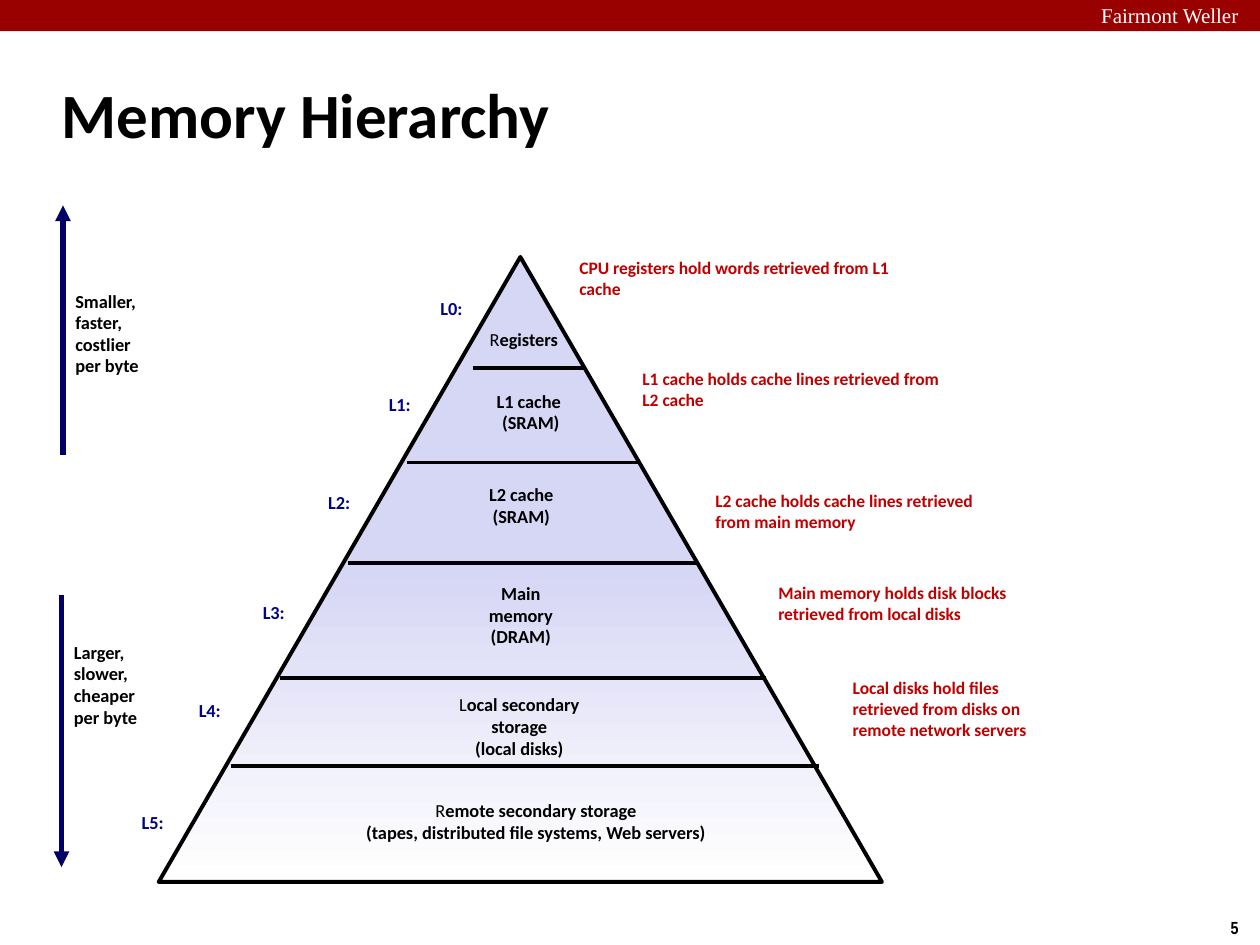
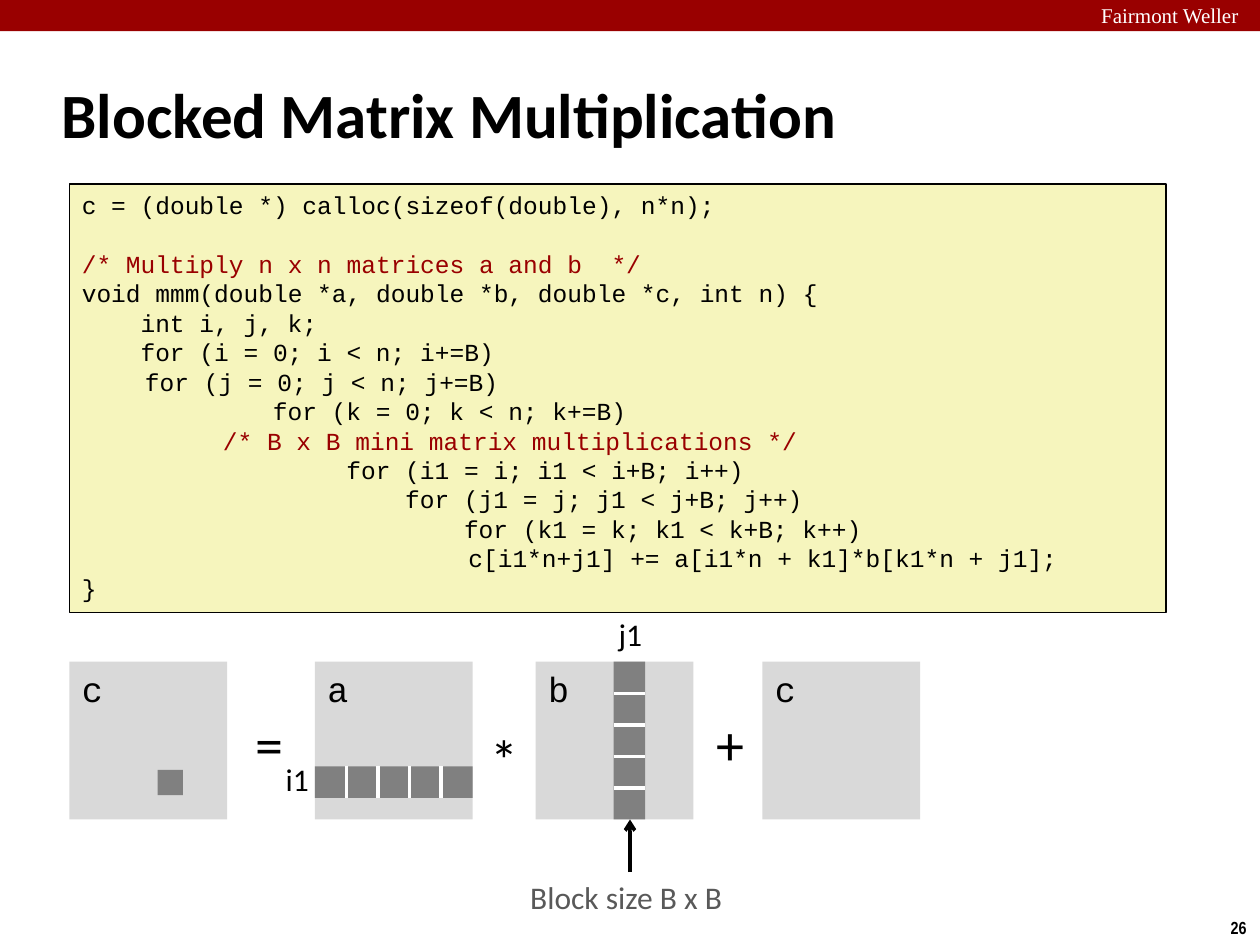
from dataclasses import dataclass

from lxml.etree import SubElement
from pptx import Presentation
from pptx.dml.color import RGBColor
from pptx.enum.shapes import MSO_CONNECTOR, MSO_SHAPE
from pptx.enum.text import MSO_ANCHOR, MSO_AUTO_SIZE, PP_ALIGN
from pptx.oxml.ns import qn
from pptx.util import Cm, Pt


@dataclass(frozen=True)
class Style:
    font: str
    size: float
    color: str
    bold: bool = False


@dataclass(frozen=True)
class Theme:
    band = "990000"
    ink = "000000"
    paper = "FFFFFF"
    trend = "000066"
    pyramid_top = "D6D6F5"
    code_fill = "F6F5BD"
    matrix = "D9D9D9"
    block = "808080"
    title = Style("Calibri", 36, ink, True)
    school = Style("Times New Roman", 12, paper)
    number = Style("Arial Narrow", 10, ink, True)
    level = Style("Calibri", 10.5, ink, True)
    tag = Style("Calibri", 10.5, "000482", True)
    note = Style("Calibri", 10, "C00000", True)
    code = Style("Courier New", 14, ink)
    comment = Style("Courier New", 14, band)
    matrix_name = Style("Courier New", 20, ink)
    index = Style("Calibri", 18, ink)
    caption = Style("Calibri", 18, "595959")
    operator = Style("Calibri", 32, ink)


@dataclass(frozen=True)
class Box:
    """A region in centimetres."""
    left: float
    top: float
    width: float
    height: float

    def inner(self, left, top, width, height):
        return Box(self.left + left, self.top + top, width, height)

    def emu(self):
        return [Cm(v) for v in (self.left, self.top, self.width, self.height)]


THEME = Theme()
SLIDE = Box(0, 0, 25.4, 19.05)
CODE_PITCH = Pt(16.8)
CODE_CHAR = 0.6 * THEME.code.size

# tag place, name box, name lines, whether its first letter is light
LEVELS = [
    ((5.28, 0.69), (6.33, 1.32, 2.06, 0.71), ["Registers"], True),
    ((4.24, 2.64), (6.48, 2.57, 1.96, 1.14), ["L1 cache", " (SRAM)"], False),
    ((3.02, 4.6), (6.33, 4.45, 1.96, 1.14), ["L2 cache", "(SRAM)"], False),
    ((1.7, 6.83), (6.17, 6.45, 2.26, 1.57), ["Main memory", "(DRAM)"], False),
    ((0.41, 8.79), (5.49, 8.69, 3.56, 1.57),
     ["Local secondary storage", "(local disks)"], True),
    ((-0.74, 11.05), (3.58, 10.82, 8.05, 1.14),
     ["Remote secondary storage",
      "(tapes, distributed file systems, Web servers)"], True),
]
NOTES = [
    ((8.23, -0.1, 6.83, 1.09), "CPU registers hold words retrieved from L1 cache"),
    ((9.5, 2.14, 6.63, 1.09), "L1 cache holds cache lines retrieved from L2 cache"),
    ((10.97, 4.6, 6.15, 1.09), "L2 cache holds cache lines retrieved from main memory"),
    ((12.24, 6.45, 6.4, 1.09), "Main memory holds disk blocks retrieved from local disks"),
    ((13.74, 8.36, 4.83, 1.52),
     "Local disks hold files retrieved from disks on remote network servers"),
]
# height, left end, right end
DIVIDERS = [(2.24, 6.33, 8.61), (4.14, 5, 9.7), (6.17, 3.81, 10.85),
            (8.49, 2.44, 12.24), (10.26, 1.45, 13.31)]

# indent in characters, code
CODE = [
    (0, "c = (double *) calloc(sizeof(double), n*n);"),
    (0, "/* Multiply n x n matrices a and b  */"),
    (0, "void mmm(double *a, double *b, double *c, int n) {"),
    (4, "int i, j, k;"),
    (4, "for (i = 0; i < n; i+=B)"),
    (4.3, "for (j = 0; j < n; j+=B)"),
    (13, "for (k = 0; k < n; k+=B)"),
    (9.6, "/* B x B mini matrix multiplications */"),
    (18, "for (i1 = i; i1 < i+B; i++)"),
    (22, "for (j1 = j; j1 < j+B; j++)"),
    (26, "for (k1 = k; k1 < k+B; k++)"),
    (26.3, "c[i1*n+j1] += a[i1*n + k1]*b[k1*n + j1];"),
    (0, "}"),
]


def rgb(color):
    return RGBColor.from_string(color)


def style_paragraph(paragraph, style, align=PP_ALIGN.LEFT):
    font = paragraph.font
    font.name, font.size, font.bold = style.font, Pt(style.size), style.bold
    font.color.rgb = rgb(style.color)
    paragraph.alignment = align


def write(frame, lines, style, align=PP_ALIGN.LEFT, spacing=None, light_initial=False):
    for number, line in enumerate(lines):
        paragraph = frame.add_paragraph() if number else frame.paragraphs[0]
        style_paragraph(paragraph, style, align)
        if spacing:
            paragraph.line_spacing = spacing
        if light_initial and number == 0:
            initial = paragraph.add_run()
            initial.text, initial.font.bold = line[0], False
            line = line[1:]
        paragraph.add_run().text = line


def add_text(slide, box, lines, style, anchor=MSO_ANCHOR.TOP, wrap=True, **options):
    frame = slide.shapes.add_textbox(*box.emu()).text_frame
    frame.word_wrap, frame.vertical_anchor = wrap, anchor
    write(frame, lines, style, **options)


def add_label(slide, box, lines, style, **options):
    add_text(slide, box, lines, style, MSO_ANCHOR.MIDDLE, spacing=0.98, **options)


def add_block(slide, box, fill=None, line=None, weight=1, preset=MSO_SHAPE.RECTANGLE):
    block = slide.shapes.add_shape(preset, *box.emu())
    block.shadow.inherit = False
    if fill:
        block.fill.solid()
        block.fill.fore_color.rgb = rgb(fill)
    if line:
        block.line.color.rgb, block.line.width = rgb(line), Pt(weight)
    else:
        block.line.fill.background()
    return block


def add_line(slide, start, end, color, weight=2, head=None):
    line = slide.shapes.add_connector(
        MSO_CONNECTOR.STRAIGHT, *(Cm(v) for v in (*start, *end)))
    line.line.color.rgb, line.line.width = rgb(color), Pt(weight)
    if head:
        SubElement(line.line._get_or_add_ln(), qn("a:tailEnd"), type=head)
    SubElement(line._element.spPr, qn("a:effectLst"))


def add_page(deck, title, number):
    """Adds a slide with the band, title and number that all slides share."""
    slide = deck.slides.add_slide(deck.slide_layouts[5])
    add_block(slide, Box(0, 0, SLIDE.width, 0.63), THEME.band)
    add_text(slide, Box(21.95, -0.08, 3.63, 0.76), ["Fairmont Weller"], THEME.school)
    add_text(slide, Box(24.56, 18.36, 0.86, 0.69), [str(number)], THEME.number)
    heading = slide.shapes.title
    heading.left, heading.top, heading.width, heading.height = (
        Box(0.99, 1.22, 21.08, 2.11).emu())
    frame = heading.text_frame
    frame.auto_size, frame.vertical_anchor = MSO_AUTO_SIZE.NONE, MSO_ANCHOR.MIDDLE
    write(frame, [title], THEME.title)
    return slide


def draw_pyramid(slide, box):
    pyramid = add_block(slide, box, line=THEME.ink, weight=2.25,
                        preset=MSO_SHAPE.ISOSCELES_TRIANGLE)
    pyramid.fill.gradient()
    pyramid.fill.gradient_angle = 270
    stops = ((0.49, THEME.pyramid_top), (1, THEME.paper))
    for stop, (position, color) in zip(pyramid.fill.gradient_stops, stops):
        stop.position, stop.color.rgb = position, rgb(color)

    for y, left, right in DIVIDERS:
        add_line(slide, (box.left + left, box.top + y),
                 (box.left + right, box.top + y), THEME.ink)
    for number, (tag, name_box, name, light) in enumerate(LEVELS):
        add_label(slide, box.inner(*tag, 1.24, 0.71), [f"L{number}:"],
                  THEME.tag, align=PP_ALIGN.CENTER)
        add_label(slide, box.inner(*name_box), name, THEME.level,
                  align=PP_ALIGN.CENTER, light_initial=light)
    for note_box, note in NOTES:
        add_label(slide, box.inner(*note_box), [note], THEME.note)


def draw_trend(slide, box, lines, caption_top, upward):
    """Draws an arrow along the left edge of the box, and its caption."""
    ends = [(box.left, box.top), (box.left, box.top + box.height)]
    start, end = reversed(ends) if upward else ends
    add_line(slide, start, end, THEME.trend, 3, "triangle")
    add_label(slide, box.inner(0, caption_top, box.width, 2.03), lines, THEME.level)


def draw_code(slide, box):
    listing = add_block(slide, box, THEME.code_fill, THEME.ink)
    frame = listing.text_frame
    frame.word_wrap, frame.vertical_anchor = True, MSO_ANCHOR.TOP
    write(frame, [text for _, text in CODE], THEME.code, spacing=CODE_PITCH)
    for paragraph, (indent, text) in zip(frame.paragraphs, CODE):
        paragraph._p.get_or_add_pPr().set("marL", str(Pt(indent * CODE_CHAR)))
        if text.startswith("/*"):
            style_paragraph(paragraph, THEME.comment)
    frame.paragraphs[1].space_before = CODE_PITCH


def draw_matrix(slide, box, name):
    frame = add_block(slide, box, THEME.matrix).text_frame
    frame.vertical_anchor = MSO_ANCHOR.TOP
    write(frame, [name], THEME.matrix_name)


def draw_strip(slide, box, count=5):
    """Draws a strip of blocks along the longer side of the box."""
    add_block(slide, box, THEME.block)
    right, bottom = box.left + box.width, box.top + box.height
    for i in range(1, count):
        x = box.left + i * box.width / count
        y = box.top + i * box.height / count
        ends = (((x, box.top), (x, bottom)) if box.width > box.height
                else ((box.left, y), (right, y)))
        add_line(slide, *ends, THEME.paper)


def draw_equation(slide, box):
    side, strip = box.height, box.height / 5
    for left, name in ((0, "c"), (4.95, "a"), (9.4, "b"), (13.97, "c")):
        draw_matrix(slide, box.inner(left, 0, side, side), name)
    add_block(slide, box.inner(1.78, 2.18, 0.51, 0.51), THEME.block)
    draw_strip(slide, box.inner(4.95, 2.11, side, strip))
    draw_strip(slide, box.inner(10.97, 0, strip, side))

    for left, top, sign in ((3.5, 0.83, "="), (8.23, 1.14, "*"), (12.8, 0.83, "+")):
        add_text(slide, box.inner(left, top, 1.09, 1.63), [sign],
                 THEME.operator, wrap=False)
    for left, top, index in ((4.11, 1.85, "i1"), (10.82, -1.07, "j1")):
        add_text(slide, box.inner(left, top, 1, 1.02), [index], THEME.index, wrap=False)

    arrow_x = box.left + 11.3
    add_line(slide, (arrow_x, box.top + 4.24), (arrow_x, box.top + side),
             THEME.ink, head="arrow")
    add_text(slide, box.inner(9.04, 4.24, 4.52, 1.02), ["Block size B x B"],
             THEME.caption, wrap=False)


def main():
    deck = Presentation()
    deck.slide_width, deck.slide_height = Cm(SLIDE.width), Cm(SLIDE.height)

    hierarchy = add_page(deck, "Memory Hierarchy", 5)
    draw_pyramid(hierarchy, Box(3.2, 5.18, 14.58, 12.6))
    draw_trend(hierarchy, Box(1.27, 4.14, 1.93, 5.03),
               ["Smaller,", "faster,", "costlier", "per byte"], 1.58, upward=True)
    draw_trend(hierarchy, Box(1.24, 11.99, 1.93, 5.49),
               ["Larger,", "slower,", "cheaper", "per byte"], 0.81, upward=False)

    multiplication = add_page(deck, "Blocked Matrix Multiplication", 26)
    draw_code(multiplication, Box(1.4, 3.71, 22.1, 8.64))
    draw_equation(multiplication, Box(1.4, 13.34, 17.15, 3.18))

    deck.save("out.pptx")


if __name__ == "__main__":
    main()
